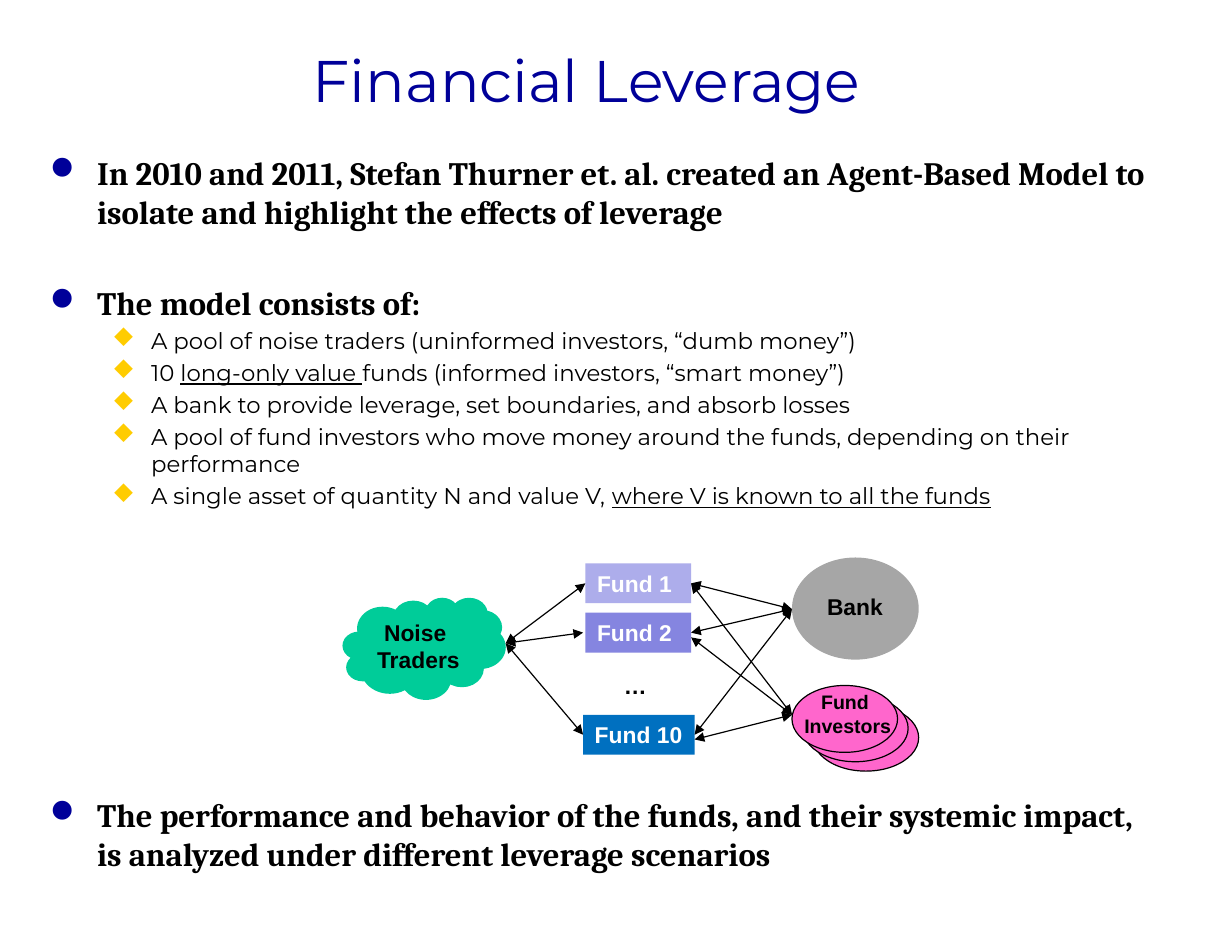
from lxml.etree import SubElement
from pptx import Presentation
from pptx.dml.color import RGBColor
from pptx.enum.shapes import MSO_CONNECTOR, MSO_SHAPE as Shape
from pptx.enum.text import MSO_ANCHOR as Anchor, PP_ALIGN as Align
from pptx.oxml.ns import qn
from pptx.util import Pt

EMU_PER_PX = 9144  # 100 px to the inch
NAVY, GOLD, BLACK, WHITE = "000099", "FFCC00", "000000", "FFFFFF"
GREEN, GREY, PINK = "00CC99", "A6A6A6", "FF66CC"
DISC, DIAMOND = "l", "u"  # Wingdings codes for the bullet marks


def px(length):
    return int(length * EMU_PER_PX)


def color(hex_code):
    return RGBColor.from_string(hex_code)


def style(run, size, face, hex_code, bold=False):
    run.font.size = Pt(size)
    run.font.name = face
    run.font.bold = bold
    run.font.color.rgb = color(hex_code)


def add_label(shape, text, size=14, hex_code=BLACK, align=Align.LEFT, anchor=Anchor.TOP):
    frame = shape.text_frame
    frame.text = text
    frame.word_wrap = False
    frame.vertical_anchor = anchor
    for paragraph in frame.paragraphs:
        paragraph.alignment = align
        for run in paragraph.runs:
            style(run, size, "Arial", hex_code, bold=True)


def add_node(slide, kind, box, fill, outline=None):
    node = slide.shapes.add_shape(kind, *map(px, box))
    node.shadow.inherit = False
    node.fill.solid()
    node.fill.fore_color.rgb = color(fill)
    if outline:
        node.line.color.rgb = color(outline)
        node.line.width = Pt(0.75)
    else:
        node.line.fill.background()
    return node


def add_link(slide, start, end):
    link = slide.shapes.add_connector(MSO_CONNECTOR.STRAIGHT, *map(px, start + end))
    link.line.color.rgb = color(BLACK)
    link.line.width = Pt(0.75)
    outline = link.line._get_or_add_ln()
    for tip in ("a:headEnd", "a:tailEnd"):
        SubElement(outline, qn(tip), type="triangle")
    SubElement(link._element.spPr, qn("a:effectLst"))


def add_title(slide, box):
    title = slide.shapes.add_textbox(*map(px, box))
    frame = title.text_frame
    frame.text = "Financial Leverage"
    frame.word_wrap = True
    frame.vertical_anchor = Anchor.MIDDLE
    heading = frame.paragraphs[0]
    heading.alignment = Align.CENTER
    heading.line_spacing = 0.95
    style(heading.runs[0], 36, "Montserrat", NAVY)


def set_bullet(paragraph, mark, hex_code, margin, hanging):
    properties = paragraph._p.get_or_add_pPr()
    properties.set("marL", str(px(margin)))
    properties.set("indent", str(-px(hanging)))
    tint = SubElement(properties, qn("a:buClr"))
    SubElement(tint, qn("a:srgbClr"), val=hex_code)
    SubElement(properties, qn("a:buFont"), typeface="Wingdings", charset="2")
    SubElement(properties, qn("a:buChar"), char=mark)


def add_points(slide, box):
    # Level, space before in points, then text pieces; every second piece is underlined
    points = [
        (0, 0, ["In 2010 and 2011, Stefan Thurner et. al. created an Agent-Based Model "
                "to isolate and highlight the effects of leverage"]),
        (0, 32, ["The model consists of:"]),
        (1, 2.8, ["A pool of noise traders (uninformed investors, “dumb money”)"]),
        (1, 2.8, ["10 ", "long-only value ", "funds (informed investors, “smart money”)"]),
        (1, 2.8, ["A bank to provide leverage, set boundaries, and absorb losses"]),
        (1, 2.8, ["A pool of fund investors who move money around the funds, "
                  "depending on their performance"]),
        (1, 2.8, ["A single asset of quantity N and value V, ",
                  "where V is known to all the funds"]),
        (0, 175, ["The performance and behavior of the funds, and their systemic impact, "
                  "is analyzed under different leverage scenarios"]),
    ]
    frame = slide.shapes.add_textbox(*map(px, box)).text_frame
    frame.word_wrap = True
    for number, (level, gap, pieces) in enumerate(points):
        point = frame.add_paragraph() if number else frame.paragraphs[0]
        if level:
            point.level = level
            set_bullet(point, DIAMOND, GOLD, 86, 33)
        else:
            set_bullet(point, DISC, NAVY, 40, 40)
        point.space_before = Pt(gap)
        for index, piece in enumerate(pieces):
            run = point.add_run()
            run.text = piece
            if level:
                style(run, 14, "Montserrat", BLACK)
            else:
                style(run, 20, "Cambria", BLACK, bold=True)
            run.font.underline = index % 2 == 1


def add_model(slide, left, top):
    def at(x, y, *size):
        return (left + x, top + y, *size)

    # Funds
    funds = [("Fund 1", 207, 5, 90, "ADADEB"), ("Fund 2", 207, 47, 90, "8585E0"),
             ("Fund 10", 205, 134, 95, "0070C0")]
    for name, x, y, width, fill in funds:
        fund = add_node(slide, Shape.RECTANGLE, at(x, y, width, 34), fill)
        add_label(fund, name, hex_code=WHITE, anchor=Anchor.MIDDLE)
    more_funds = slide.shapes.add_textbox(*map(px, at(230, 92, 40, 34)))
    add_label(more_funds, "…")

    # Noise traders
    traders = add_node(slide, Shape.CLOUD, at(0, 34, 139, 87), GREEN)
    add_label(traders, "Noise \nTraders", align=Align.CENTER, anchor=Anchor.MIDDLE)

    # Bank
    add_node(slide, Shape.OVAL, at(383, 0, 108, 87), GREY)
    bank = slide.shapes.add_textbox(*map(px, at(403, 25, 68, 34)))
    add_label(bank, "Bank")

    # Stack of fund investors, rear one first
    for step in (2, 1, 0):
        add_node(slide, Shape.OVAL, at(383 + 9 * step, 109 + 8 * step, 90, 57), PINK, BLACK)
    investors = slide.shapes.add_textbox(*map(px, at(383, 108, 95, 50)))
    add_label(investors, "Fund \nInvestors", size=12, align=Align.CENTER)

    # Two-way links: each hub with its three fund ends
    links = [
        ((383, 44), [(297, 22), (297, 64), (300, 151)]),
        ((139, 73), [(207, 22), (205, 64), (205, 151)]),
        ((383, 134), [(297, 22), (297, 68), (300, 155)]),
    ]
    for hub, fund_ends in links:
        for fund_end in fund_ends:
            add_link(slide, at(*hub), at(*fund_end))


def main():
    deck = Presentation()
    deck.slide_width, deck.slide_height = px(1050), px(800)
    slide = deck.slides.add_slide(deck.slide_layouts[6])
    add_points(slide, (33, 125, 967, 625))
    add_title(slide, (75, 8, 850, 125))
    add_model(slide, 292, 475)
    deck.save("out.pptx")


if __name__ == "__main__":
    main()
